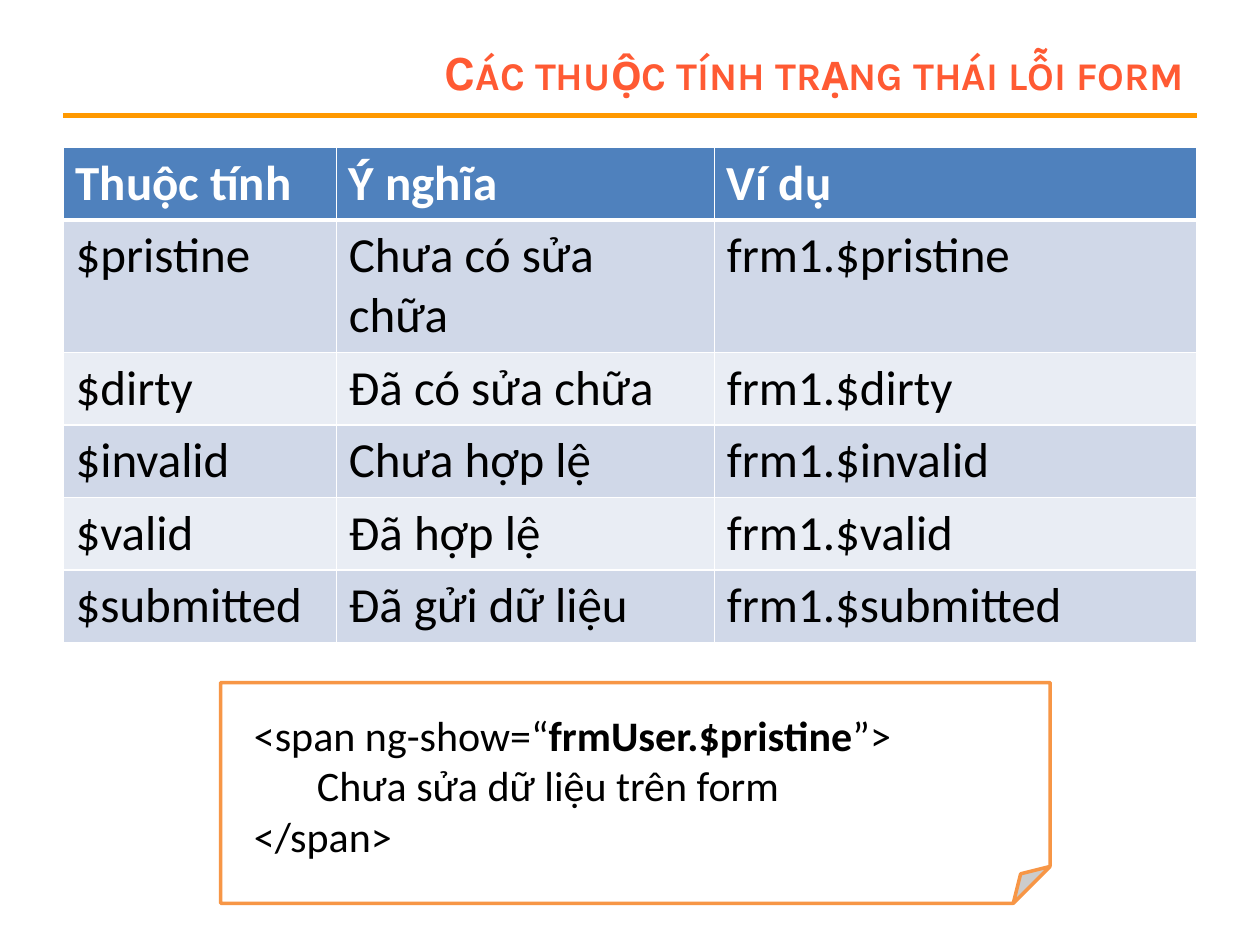
from lxml import etree
from pptx import Presentation
from pptx import util as u
from pptx.dml.color import RGBColor
from pptx.enum import shapes, text
from pptx.oxml.ns import qn

ORANGE = RGBColor(0xFF, 0x99, 0x00)
CORAL = RGBColor(0xFF, 0x5A, 0x33)
NOTE_LINE = RGBColor(0xF7, 0x96, 0x46)
HEADER = RGBColor(0x4F, 0x81, 0xBD)
BANDS = (RGBColor(0xE9, 0xED, 0xF4), RGBColor(0xD0, 0xD8, 0xE8))
WHITE = RGBColor(0xFF, 0xFF, 0xFF)
BLACK = RGBColor(0x00, 0x00, 0x00)

LEFT, WIDTH = u.Cm(1.27), u.Cm(22.86)
COLUMN_WIDTHS = (5.51, 7.62, 9.73)
ROW_HEIGHT = u.Cm(1.04)
ROWS = (
    ("Thuộc tính", "Ý nghĩa", "Ví dụ"),
    ("$pristine", "Chưa có sửa chữa", "frm1.$pristine"),
    ("$dirty", "Đã có sửa chữa", "frm1.$dirty"),
    ("$invalid", "Chưa hợp lệ", "frm1.$invalid"),
    ("$valid", "Đã hợp lệ", "frm1.$valid"),
    ("$submitted", "Đã gửi dữ liệu", "frm1.$submitted"),
)
# Each line is a list of (words, bold) spans
CODE = (
    (("<span ng-show=“", False), ("frmUser.$pristine", True), ("”>", False)),
    (("\tChưa sửa dữ liệu trên form", False),),
    (("</span>", False),),
)


def add_span(para, words, size, color, bold=False, font="Calibri"):
    span = para.add_run()
    span.text = words
    span.font.name = font
    span.font.size = u.Pt(size)
    span.font.bold = bold
    span.font.color.rgb = color
    return span


def add_title(page, words):
    title = page.shapes.title
    title.left, title.top = u.Cm(5.72), u.Cm(0.76)
    title.width, title.height = u.Cm(18.41), u.Cm(1.35)
    frame = title.text_frame
    frame.auto_size = text.MSO_AUTO_SIZE.NONE
    frame.vertical_anchor = text.MSO_ANCHOR.MIDDLE
    para = frame.paragraphs[0]
    para.alignment = text.PP_ALIGN.RIGHT
    span = add_span(para, words, 28, CORAL, True, "Karla")
    span.font._element.set("cap", "small")


def add_rule(page, top):
    rule = page.shapes.add_connector(
        shapes.MSO_CONNECTOR.STRAIGHT, LEFT, top, LEFT + WIDTH, top)
    rule.line.color.rgb = ORANGE
    rule.line.width = u.Pt(3)
    etree.SubElement(rule._element.spPr, qn("a:effectLst"))


def set_borders(cell, bottom):
    properties = cell._tc.get_or_add_tcPr()
    for side, points in (("L", 1), ("R", 1), ("T", 1), ("B", bottom)):
        border = etree.SubElement(
            properties, qn(f"a:ln{side}"), w=str(u.Pt(points)))
        fill = etree.SubElement(border, qn("a:solidFill"))
        etree.SubElement(fill, qn("a:srgbClr"), val=str(WHITE))


def add_property_table(page):
    table = page.shapes.add_table(
        len(ROWS), len(COLUMN_WIDTHS), LEFT, u.Cm(2.97),
        WIDTH, ROW_HEIGHT * len(ROWS)).table
    for column, width in zip(table.columns, COLUMN_WIDTHS):
        column.width = u.Cm(width)
    for i, row in enumerate(ROWS):
        header = i == 0
        for j, words in enumerate(row):
            cell = table.cell(i, j)
            set_borders(cell, 3 if header else 1)
            cell.fill.solid()
            cell.fill.fore_color.rgb = HEADER if header else BANDS[i % 2]
            add_span(cell.text_frame.paragraphs[0], words, 28,
                     WHITE if header else BLACK, header)


def add_note(page):
    note = page.shapes.add_shape(
        shapes.MSO_SHAPE.FOLDED_CORNER,
        u.Cm(4.45), u.Cm(13.76), u.Cm(16.72), u.Cm(4.45))
    note.shadow.inherit = False
    note.fill.solid()
    note.fill.fore_color.rgb = WHITE
    note.line.color.rgb = NOTE_LINE
    note.line.width = u.Pt(2)


def add_code(page):
    box = page.shapes.add_textbox(
        u.Cm(4.87), u.Cm(14.18), u.Cm(13.6), u.Cm(3.33))
    frame = box.text_frame
    frame.word_wrap = False
    frame.auto_size = text.MSO_AUTO_SIZE.SHAPE_TO_FIT_TEXT
    for i, line in enumerate(CODE):
        para = frame.add_paragraph() if i else frame.paragraphs[0]
        for words, bold in line:
            add_span(para, words, 24, BLACK, bold)


def main():
    deck = Presentation()
    deck.slide_width, deck.slide_height = u.Cm(25.4), u.Cm(19.05)
    page = deck.slides.add_slide(deck.slide_layouts[5])
    # Heading
    add_rule(page, u.Cm(2.33))
    add_title(page, "Các thuộc tính trạng thái lỗi form")
    # Form state properties
    add_property_table(page)
    # Code example on a folded note
    add_note(page)
    add_code(page)
    deck.save("out.pptx")


if __name__ == "__main__":
    main()
